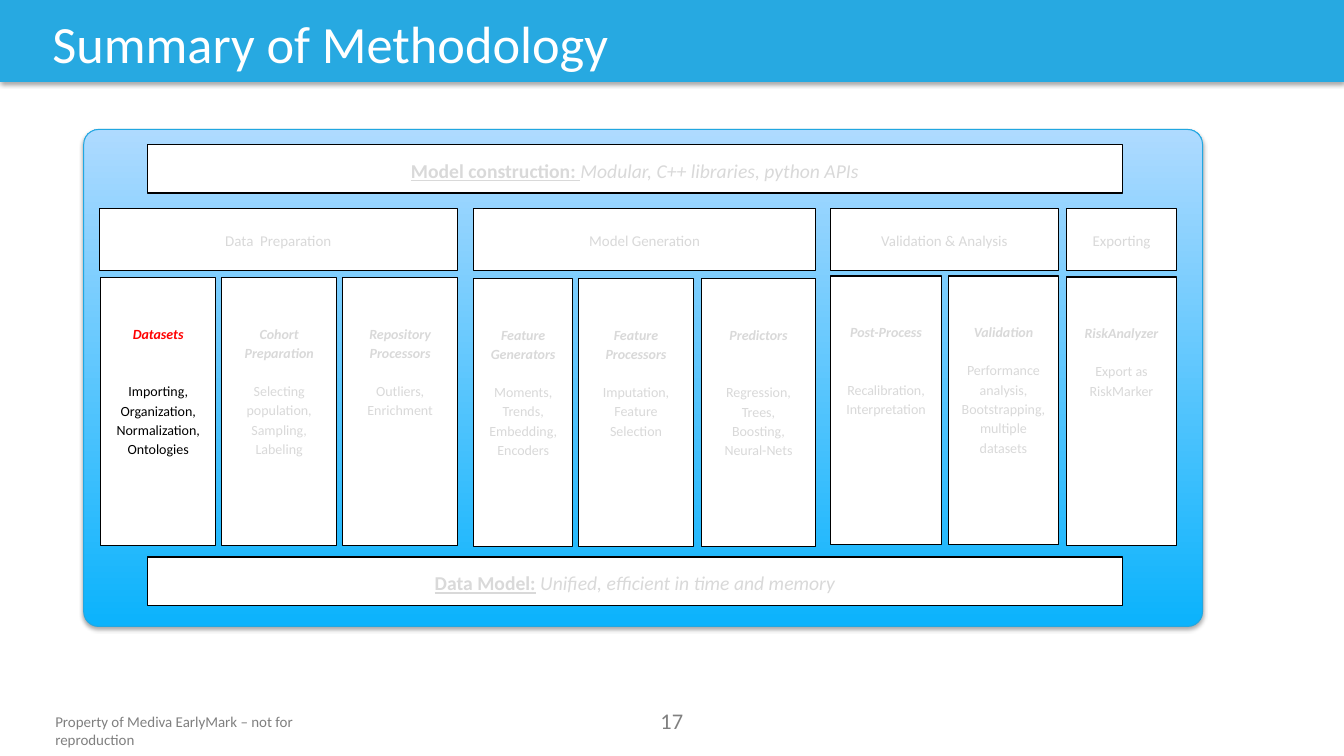
from lxml import etree
from pptx import Presentation
from pptx.dml.color import RGBColor
from pptx.enum import shapes, text
from pptx.oxml import ns
from pptx.util import Pt

FONT = "Calibri"
COLORS = {
    "band": "27A9E1", "panel_line": "21A7E1", "deep": "0BB3FC", "pale": "AEDAFF",
    "white": "FFFFFF", "black": "000000", "muted": "D9D9D9", "footer": "808080",
    "accent": "FF0000",
}
LINE_SPACING, PARAGRAPH_GAP, LINE_HEIGHT = 1.15, 13.3, 14
INSETS = (9.4, 5, 9.4, 5)
COLUMN_INSETS = (9.4, 32.3, 9.4, 5)
BAR_LEFT, BAR_WIDTH, BAR_HEIGHT = 105.5, 696.2, 34.6
STAGE_TOP, STAGE_HEIGHT, COLUMN_HEIGHT = 149, 44.4, 191.5

# Stage: title, left, width, top of its columns
# Column: left, width, heading, details, whether a line is left free between them
STAGES = [
    ("Data  Preparation", 71, 255.6, 198.2, [
        (72, 82, "Datasets", "Importing, Organization, Normalization, Ontologies", True),
        (158.4, 82, "Cohort Preparation", "Selecting population, Sampling, Labeling", False),
        (244.8, 82, "Repository Processors", "Outliers, Enrichment", False)]),
    ("Model Generation", 338.4, 244.1, 199, [
        (338.4, 70.6, "Feature Generators", "Moments, Trends, Embedding, Encoders", False),
        (413.3, 82, "Feature Processors", "Imputation, Feature Selection", False),
        (501.1, 81.4, "Predictors", "Regression, Trees, Boosting, Neural-Nets", True)]),
    ("Validation & Analysis", 593.3, 162.7, 197.3, [
        (593.3, 79.2, "Post-Process", "Recalibration, Interpretation", True),
        (677.5, 78.5, "Validation",
         "Performance analysis, Bootstrapping, multiple datasets", False)]),
    ("Exporting", 761.9, 78.5, 198, [
        (761.8, 78.5, "RiskAnalyzer", "Export as RiskMarker", False)]),
]
HIGHLIGHTED = "Datasets"


def rgb(name):
    return RGBColor.from_string(COLORS[name])


def add_run(paragraph, words, size=10, color="muted", bold=False, italic=False,
            underline=False):
    run = paragraph.add_run()
    run.text = words
    font = run.font
    font.name, font.size, font.color.rgb = FONT, Pt(size), rgb(color)
    font.bold, font.italic, font.underline = bold, italic, underline


def center(paragraph, gap=PARAGRAPH_GAP):
    paragraph.alignment = text.PP_ALIGN.CENTER
    paragraph.line_spacing = LINE_SPACING
    paragraph.space_after = Pt(gap)
    return paragraph


def add_block(slide, kind, left, top, width, height, fill=None, line=None, weight=1):
    block = slide.shapes.add_shape(kind, Pt(left), Pt(top), Pt(width), Pt(height))
    block.shadow.inherit = False
    if fill:
        block.fill.solid()
        block.fill.fore_color.rgb = rgb(fill)
    if line:
        block.line.color.rgb = rgb(line)
        block.line.width = Pt(weight)
    else:
        block.line.fill.background()
    return block


def add_shadow(block):
    effects = block.element.spPr.find(ns.qn("a:effectLst"))
    shadow = etree.SubElement(effects, ns.qn("a:outerShdw"), blurRad=str(Pt(3.1)),
                              dist=str(Pt(1.8)), dir="5400000", rotWithShape="0")
    tint = etree.SubElement(shadow, ns.qn("a:srgbClr"), val=COLORS["black"])
    etree.SubElement(tint, ns.qn("a:alpha"), val="35000")


def add_box(slide, left, top, width, height, insets=INSETS,
            anchor=text.MSO_ANCHOR.MIDDLE):
    """White, black-edged box; returns its text frame."""
    box = add_block(slide, shapes.MSO_SHAPE.RECTANGLE, left, top, width, height,
                    fill="white", line="black")
    frame = box.text_frame
    frame.word_wrap = True
    frame.vertical_anchor = anchor
    (frame.margin_left, frame.margin_top,
     frame.margin_right, frame.margin_bottom) = map(Pt, insets)
    return frame


def add_bar(slide, top, lead, summary):
    frame = add_box(slide, BAR_LEFT, top, BAR_WIDTH, BAR_HEIGHT)
    paragraph = center(frame.paragraphs[0])
    add_run(paragraph, lead, size=14, bold=True, underline=True)
    add_run(paragraph, summary, size=14, italic=True)


def add_stage(slide, title, left, width):
    frame = add_box(slide, left, STAGE_TOP, width, STAGE_HEIGHT)
    add_run(center(frame.paragraphs[0]), title, size=10.7)


def add_column(slide, top, left, width, heading, details, spaced):
    frame = add_box(slide, left, top, width, COLUMN_HEIGHT, COLUMN_INSETS,
                    text.MSO_ANCHOR.TOP)
    active = heading == HIGHLIGHTED
    gap = PARAGRAPH_GAP + (LINE_HEIGHT if spaced else 0)
    add_run(center(frame.paragraphs[0], gap), heading, bold=True, italic=True,
            color="accent" if active else "muted")
    add_run(center(frame.add_paragraph()), details,
            color="black" if active else "muted")


def add_footer(slide, words, left, top, width, height, size, wrap, align):
    footer = slide.shapes.add_textbox(Pt(left), Pt(top), Pt(width), Pt(height))
    footer.text_frame.word_wrap = wrap
    paragraph = footer.text_frame.paragraphs[0]
    paragraph.alignment = align
    add_run(paragraph, words, size=size, color="footer")


def add_title(slide, words):
    title = slide.shapes.title
    title.left, title.top, title.width, title.height = map(Pt, (30.2, 4.3, 799.2, 52.6))
    frame = title.text_frame
    frame.auto_size = text.MSO_AUTO_SIZE.NONE
    frame.vertical_anchor = text.MSO_ANCHOR.MIDDLE
    frame.paragraphs[0].alignment = text.PP_ALIGN.LEFT
    add_run(frame.paragraphs[0], words, size=37.4, color="white")
    slide.shapes.element.append(title.element)  # in front of the band


def add_panel(slide):
    panel = add_block(slide, shapes.MSO_SHAPE.ROUNDED_RECTANGLE, 59.8, 92.5, 799.2, 355,
                      line="panel_line", weight=0.75)
    panel.adjustments[0] = 0.03
    panel.fill.gradient()
    panel.fill.gradient_angle = 90
    for stop, color in zip(panel.fill.gradient_stops, ("deep", "pale")):
        stop.color.rgb = rgb(color)
    add_shadow(panel)


def main():
    deck = Presentation()
    deck.slide_width, deck.slide_height = Pt(960), Pt(540)
    slide = deck.slides.add_slide(deck.slide_layouts.get_by_name("Title Only"))

    # Header band and title
    band = add_block(slide, shapes.MSO_SHAPE.RECTANGLE, 0, -0.5, 960, 59, fill="band")
    add_shadow(band)
    add_title(slide, "Summary of Methodology")

    # Methodology diagram
    add_panel(slide)
    add_bar(slide, 103.3, "Model construction: ", "Modular, C++ libraries, python APIs")
    for title, left, width, column_top, columns in STAGES:
        add_stage(slide, title, left, width)
        for column in columns:
            add_column(slide, column_top, *column)
    add_bar(slide, 397.8, "Data Model:", " Unified, efficient in time and memory")

    # Footer
    add_footer(slide, "Property of Mediva EarlyMark – not for reproduction",
               32.4, 505.4, 236.2, 20.2, 10.7, False, text.PP_ALIGN.LEFT)
    add_footer(slide, "17", 450.7, 501.8, 58.3, 26.6, 16, True, text.PP_ALIGN.CENTER)

    deck.save("out.pptx")


if __name__ == "__main__":
    main()
